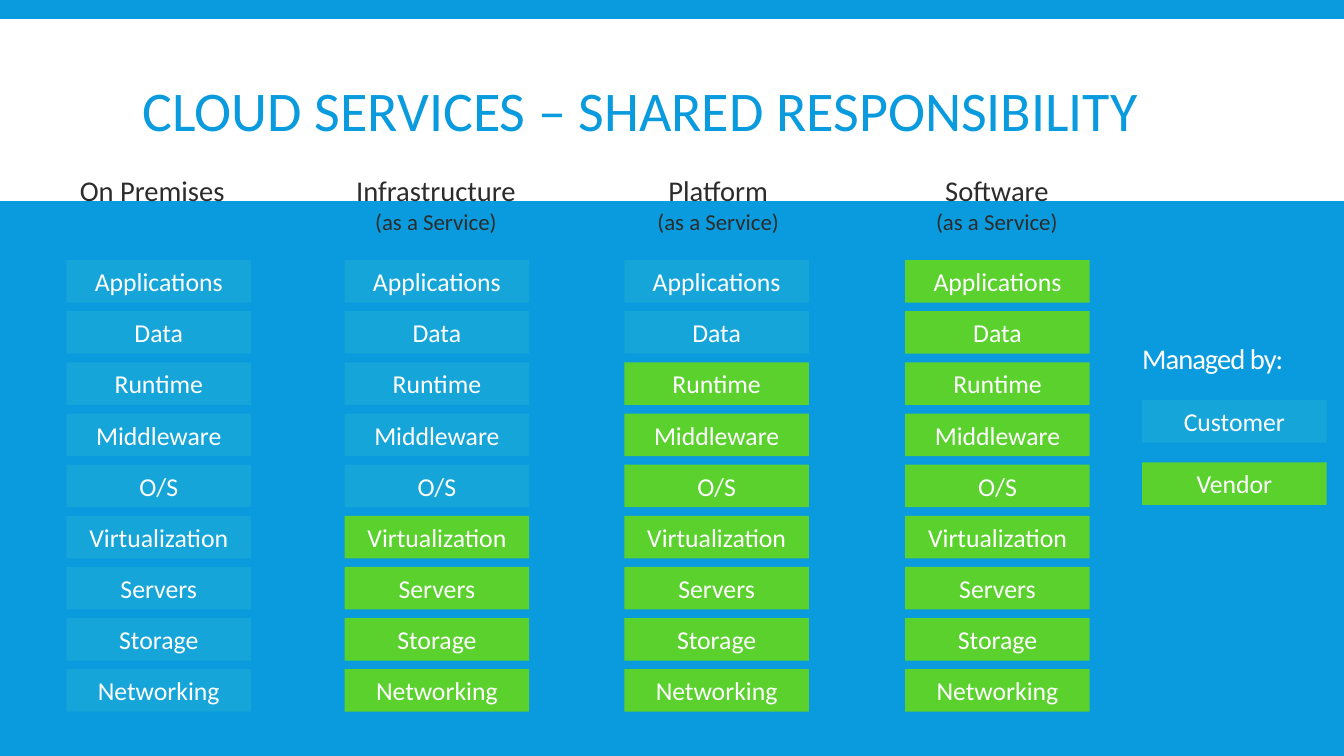
"""Build the cloud services shared responsibility slide."""
import pptx
import pptx.dml.color
import pptx.enum.shapes
import pptx.enum.text
import pptx.util

Pt = pptx.util.Pt
ALIGN = pptx.enum.text.PP_ALIGN
ANCHOR = pptx.enum.text.MSO_ANCHOR

TITLE = "CLOUD SERVICES – SHARED RESPONSIBILITY"
LAYERS = ["Applications", "Data", "Runtime", "Middleware", "O/S",
          "Virtualization", "Servers", "Storage", "Networking"]
AS_SERVICE = "(as a Service)"
MODELS = [
    {"heading": ["On Premises"], "customer_layers": 9,
     "left": 47.5, "heading_left": 33.8, "heading_width": 149.8},
    {"heading": ["Infrastructure", AS_SERVICE], "customer_layers": 5,
     "left": 246.2, "heading_left": 207.4, "heading_width": 208},
    {"heading": ["Platform", AS_SERVICE], "customer_layers": 2,
     "left": 446, "heading_left": 432.7, "heading_width": 160.6},
    {"heading": ["Software", AS_SERVICE], "customer_layers": 0,
     "left": 646.6, "heading_left": 630.7, "heading_width": 162.7},
]
LEGEND_HEADING = "Managed by:"
LEGEND = ["Customer", "Vendor"]

MANAGER_FILL = {"Customer": "16A5D9", "Vendor": "5AD12C"}
BLUE, WHITE, DARK = "099BDD", "FFFFFF", "2C2C2C"
HEADING_SIZES = [20.4, 16.3]
LAYER_SIZE = 18.4
BOX_WIDTH, BOX_HEIGHT = 131.8, 30.4
LAYER_TOP, LAYER_PITCH = 185.8, 36.53
HEADING_TOP, HEADING_HEIGHT = 123.8, 51.1
LEGEND_LEFT, LEGEND_TOP, LEGEND_PITCH = 815.8, 285.8, 44.4


def color(value):
    return pptx.dml.color.RGBColor.from_string(value)


def write(shape, lines, sizes, text_color, align, anchor, inset=0):
    frame = shape.text_frame
    frame.word_wrap = True
    frame.vertical_anchor = anchor
    frame.margin_left = frame.margin_right = Pt(inset)
    frame.margin_top = frame.margin_bottom = 0
    for index, (line, size) in enumerate(zip(lines, sizes)):
        paragraph = frame.paragraphs[0] if index == 0 else frame.add_paragraph()
        paragraph.alignment = align
        run = paragraph.add_run()
        run.text = line
        run.font.name = "Calibri"
        run.font.size = Pt(size)
        run.font.color.rgb = color(text_color)
    return frame


def add_rect(shapes, left, top, width, height, fill):
    rect = shapes.add_shape(pptx.enum.shapes.MSO_SHAPE.RECTANGLE,
                            Pt(left), Pt(top), Pt(width), Pt(height))
    rect.shadow.inherit = False
    rect.fill.solid()
    rect.fill.fore_color.rgb = color(fill)
    rect.line.fill.background()
    return rect


def add_box(shapes, left, top, label, manager):
    box = add_rect(shapes, left, top, BOX_WIDTH, BOX_HEIGHT, MANAGER_FILL[manager])
    write(box, [label], [LAYER_SIZE], WHITE, ALIGN.CENTER, ANCHOR.MIDDLE)


def add_text(shapes, left, top, width, height, *text):
    box = shapes.add_textbox(Pt(left), Pt(top), Pt(width), Pt(height))
    return write(box, *text)


def add_model(slide, model):
    shapes = slide.shapes.add_group_shape().shapes
    add_text(shapes, model["heading_left"], HEADING_TOP, model["heading_width"],
             HEADING_HEIGHT, model["heading"], HEADING_SIZES, DARK,
             ALIGN.CENTER, ANCHOR.TOP)
    for row, layer in enumerate(LAYERS):
        manager = "Customer" if row < model["customer_layers"] else "Vendor"
        add_box(shapes, model["left"], LAYER_TOP + row * LAYER_PITCH, layer, manager)


def add_legend(slide):
    heading = add_text(slide.shapes, LEGEND_LEFT, 243.4, 130.3, 25.2,
                       [LEGEND_HEADING], HEADING_SIZES, WHITE,
                       ALIGN.LEFT, ANCHOR.TOP)
    heading.paragraphs[0].runs[0].font._element.set("spc", "-70")
    for row, manager in enumerate(LEGEND):
        add_box(slide.shapes, LEGEND_LEFT, LEGEND_TOP + row * LEGEND_PITCH,
                manager, manager)


def main():
    deck = pptx.Presentation()
    deck.slide_width, deck.slide_height = Pt(960), Pt(540)
    slide = deck.slides.add_slide(deck.slide_layouts[6])
    slide.background.fill.solid()
    slide.background.fill.fore_color.rgb = color(BLUE)
    add_rect(slide.shapes, 0, 13.7, 960, 129.8, WHITE)
    title = add_text(slide.shapes, 95, 22.3, 770.4, 118.8, [TITLE], [40], BLUE,
                     ALIGN.LEFT, ANCHOR.MIDDLE, 7.2)
    title.paragraphs[0].line_spacing = 0.85
    for model in MODELS:
        add_model(slide, model)
    add_legend(slide)
    deck.save("out.pptx")


if __name__ == "__main__":
    main()
